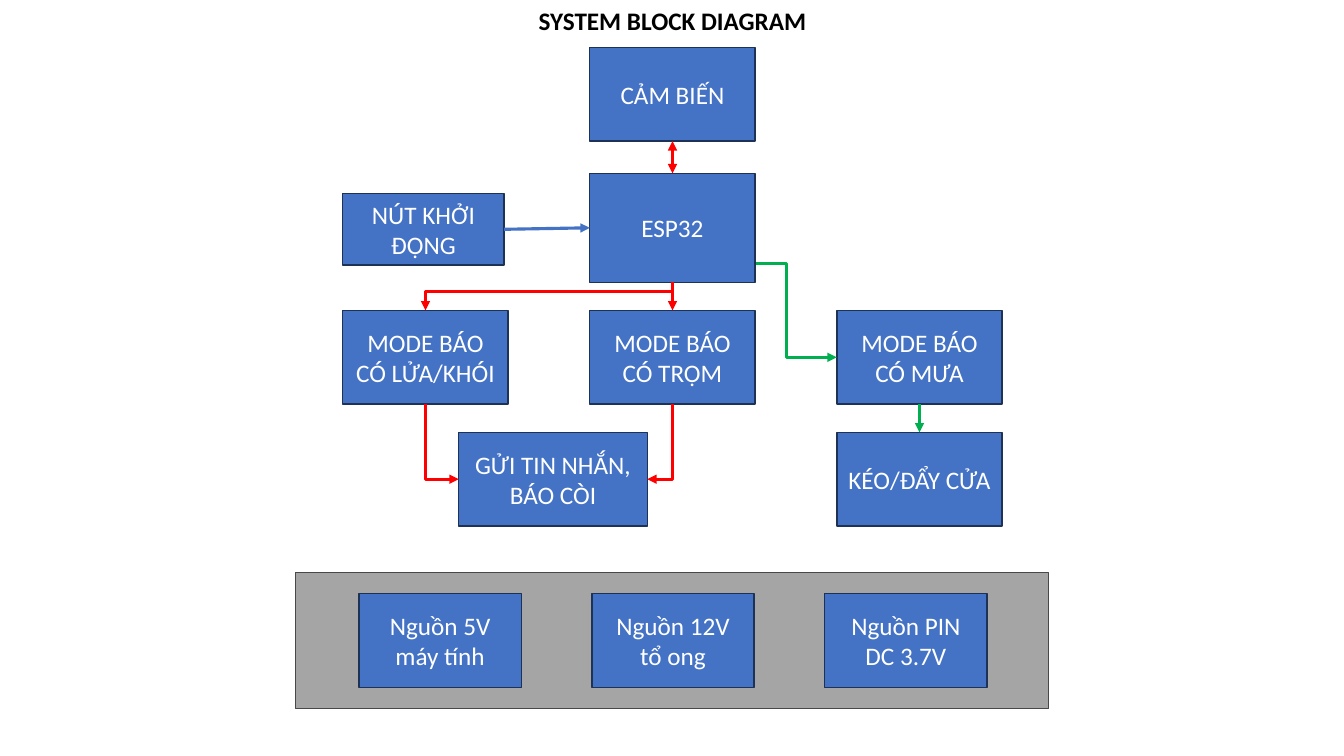
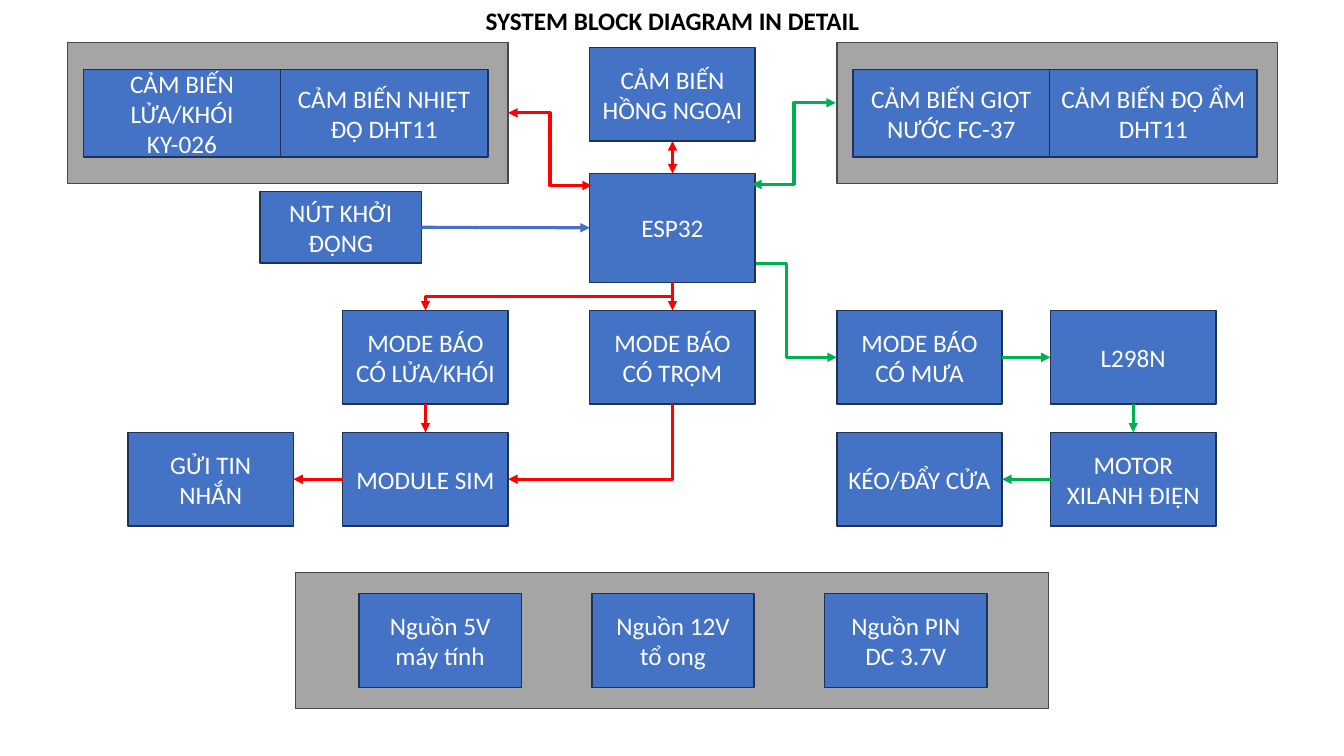
import pptx
import pptx.dml.color
import pptx.enum.shapes
import pptx.enum.text
import pptx.oxml.ns
import pptx.oxml.xmlchemy
import pptx.util
from pptx.util import Inches

COLORS = {
    "block": "4472C4", "block_line": "1E3256",
    "panel": "A5A5A5", "panel_line": "484848",
    "alarm": "FF0000", "rain": "00B050", "start": "4472C4",
    "light": "FFFFFF", "dark": "000000",
}
FONT = {"name": "Calibri", "size": pptx.util.Pt(18)}
FRAME = {"word_wrap": True,
         "vertical_anchor": pptx.enum.text.MSO_ANCHOR.MIDDLE}

# Shared grid, in inches
COLS = [1.27, 3.4, 5.85, 8.3, 10.42]
MODE_Y, ACTION_Y = 3.08, 4.29
BLOCK_W, BLOCK_H = 1.64, 0.93
CENTER_X = 6.67

# Connection sites of a rectangle
TOP, LEFT, BOTTOM, RIGHT = range(4)


def rgb(name):
    return pptx.dml.color.RGBColor.from_string(COLORS[name])


def set_all(obj, values):
    for key, value in values.items():
        setattr(obj, key, value)


def add_xml(parent, tag, **attributes):
    child = pptx.oxml.xmlchemy.OxmlElement(tag)
    for key, value in attributes.items():
        child.set(key, value)
    parent.append(child)


def write(shape, text, color, **extra):
    tf = shape.text_frame
    tf.text = text
    set_all(tf, FRAME)
    for p in tf.paragraphs:
        p.alignment = pptx.enum.text.PP_ALIGN.CENTER
        set_all(p.font, {**FONT, **extra})
        p.font.color.rgb = rgb(color)


def rect(s, x, y, w, h, style):
    sp = s.shapes.add_shape(pptx.enum.shapes.MSO_SHAPE.RECTANGLE,
                            Inches(x), Inches(y), Inches(w), Inches(h))
    sp.shadow.inherit = False
    sp.fill.solid()
    sp.fill.fore_color.rgb = rgb(style)
    sp.line.color.rgb = rgb(style + "_line")
    sp.line.width = pptx.util.Pt(1)
    return sp


def block(s, text, x, y, w=BLOCK_W, h=BLOCK_H):
    sp = rect(s, x, y, w, h, "block")
    write(sp, text, "light")
    return sp


def panel(s, x, y, w, h, blocks):
    """Grey panel grouped with its blocks; returns the panel."""
    group = s.shapes.add_group_shape()
    back = rect(group, x, y, w, h, "panel")
    for args in blocks:
        block(group, *args)
    return back


def title(s, text, w):
    tb = s.shapes.add_textbox(Inches(CENTER_X - w / 2), 0,
                              Inches(w), Inches(0.4))
    write(tb, text, "dark", bold=True)


def locate(end):
    """Turn (shape, site) or (x, y) in inches into a slide position."""
    if isinstance(end[0], (int, float)):
        return Inches(end[0]), Inches(end[1])
    sp, site = end
    mid_x, mid_y = sp.left + sp.width // 2, sp.top + sp.height // 2
    return {TOP: (mid_x, sp.top), LEFT: (sp.left, mid_y),
            BOTTOM: (mid_x, sp.top + sp.height),
            RIGHT: (sp.left + sp.width, mid_y)}[site]


def arrow(s, color, start, end, bent=False, both=False):
    kinds = pptx.enum.shapes.MSO_CONNECTOR
    cxn = s.shapes.add_connector(kinds.ELBOW if bent else kinds.STRAIGHT,
                                 *locate(start), *locate(end))
    for target, connect in ((start, cxn.begin_connect), (end, cxn.end_connect)):
        if not isinstance(target[0], (int, float)):
            connect(*target)
    cxn.line.color.rgb = rgb(color)
    cxn.line.width = pptx.util.Pt(2.25)
    sppr = cxn._element.spPr
    ln = sppr.find(pptx.oxml.ns.qn("a:ln"))
    for tag in ["a:headEnd"] * both + ["a:tailEnd"]:
        add_xml(ln, tag, type="triangle")
    add_xml(sppr, "a:effectLst")
    return cxn


def bend_down(cxn, start, end, corner=False, adj=None):
    """Make an elbow leave downwards, with one corner or a middle run."""
    (x1, y1), (x2, y2) = locate(start), locate(end)
    w, h = y2 - y1, abs(x2 - x1)
    set_all(cxn, {"left": (x1 + x2 - w) // 2, "top": (y1 + y2 - h) // 2,
                  "width": w, "height": h})
    sppr = cxn._element.spPr
    xfrm = sppr.find(pptx.oxml.ns.qn("a:xfrm"))
    for flip in ("flipH", "flipV"):
        xfrm.attrib.pop(flip, None)
    xfrm.set("rot", "5400000" if x2 < x1 else "16200000")
    if x2 > x1:
        xfrm.set("flipH", "1")
    geom = sppr.find(pptx.oxml.ns.qn("a:prstGeom"))
    if corner:
        geom.set("prst", "bentConnector2")
    if adj is not None:
        add_xml(geom.find(pptx.oxml.ns.qn("a:avLst")), "a:gd",
                name="adj1", fmla=f"val {round(adj * 100000)}")


def down_arrow(s, color, start, end, **shape):
    bend_down(arrow(s, color, start, end, bent=True), start, end, **shape)


def base_slide(prs, heading, heading_w, sensor_text, start_xy, fork):
    """Parts on both slides: title, controller, modes and power supplies."""
    s = prs.slides.add_slide(prs.slide_layouts[6])
    title(s, heading, heading_w)

    # The rain arrow runs behind the controller
    rain = block(s, "MODE BÁO CÓ MƯA", COLS[3], MODE_Y)
    arrow(s, "rain", (7.3, 2.61), (rain, LEFT), bent=True)
    esp = block(s, "ESP32", COLS[2], 1.72, h=1.08)
    sensor = block(s, sensor_text, COLS[2], 0.47)
    button = block(s, "NÚT KHỞI ĐỘNG", *start_xy, 1.6, 0.71)
    fire = block(s, "MODE BÁO CÓ LỬA/KHÓI", COLS[1], MODE_Y)
    thief = block(s, "MODE BÁO CÓ TRỘM", COLS[2], MODE_Y)
    block(s, "KÉO/ĐẨY CỬA", COLS[3], ACTION_Y)

    arrow(s, "alarm", (sensor, BOTTOM), (esp, TOP), both=True)
    arrow(s, "start", (button, RIGHT), (esp, LEFT))
    arrow(s, "alarm", (esp, BOTTOM), (thief, TOP))
    down_arrow(s, "alarm", (esp, BOTTOM), (fire, TOP), adj=fork)

    # Power supplies
    supplies = ["Nguồn 5V máy tính", "Nguồn 12V\ntổ ong", "Nguồn PIN DC 3.7V"]
    panel(s, 2.93, 5.68, 7.47, 1.35,
          [(text, 3.56 + 2.31 * i, 5.89, 1.61)
           for i, text in enumerate(supplies)])
    return s, fire, thief, rain


def overview(prs):
    s, fire, thief, rain = base_slide(
        prs, "SYSTEM BLOCK DIAGRAM", 2.99, "CẢM BIẾN", (COLS[1], 1.92), 0.32)
    notify = block(s, "GỬI TIN NHẮN, BÁO CÒI", 4.55, ACTION_Y, 1.87)
    down_arrow(s, "alarm", (fire, BOTTOM), (notify, LEFT), corner=True)
    down_arrow(s, "alarm", (thief, BOTTOM), (notify, RIGHT), corner=True)
    mid = COLS[3] + BLOCK_W / 2
    arrow(s, "rain", (rain, BOTTOM), (mid, ACTION_Y))


def detail(prs):
    s, fire, thief, rain = base_slide(
        prs, "SYSTEM BLOCK DIAGRAM IN DETAIL", 4.05, "CẢM BIẾN HỒNG NGOẠI",
        (2.58, 1.9), 0.5)

    # Sensor panels
    panels = []
    for x, first, second in (
            (0.67, "CẢM BIẾN LỬA/KHÓI KY-026", "CẢM BIẾN NHIỆT ĐỘ DHT11"),
            (8.3, "CẢM BIẾN GIỌT NƯỚC FC-37", "CẢM BIẾN ĐỘ ẨM DHT11")):
        panels.append(panel(s, x, 0.42, 4.37, 1.4,
                            [(first, x + 0.16, 0.69, 1.95, 0.87),
                             (second, x + 2.11, 0.69, 2.06, 0.87)]))
    arrow(s, "alarm", (panels[0], RIGHT), (5.87, 1.84), bent=True, both=True)
    arrow(s, "rain", (7.46, 1.83), (8.29, 1.02), bent=True, both=True)

    # Alarm messages
    sim = block(s, "MODULE SIM", COLS[1], ACTION_Y)
    message = block(s, "GỬI TIN NHẮN", COLS[0], ACTION_Y)
    arrow(s, "alarm", (fire, BOTTOM), (sim, TOP))
    arrow(s, "alarm", (sim, LEFT), (message, RIGHT))
    down_arrow(s, "alarm", (thief, BOTTOM), (sim, RIGHT), corner=True)

    # Door drive
    driver = block(s, "L298N", COLS[4], MODE_Y)
    motor = block(s, "MOTOR XILANH ĐIỆN", COLS[4], ACTION_Y)
    arrow(s, "rain", (rain, RIGHT), (driver, LEFT))
    arrow(s, "rain", (driver, BOTTOM), (motor, TOP))
    door_y = ACTION_Y + BLOCK_H / 2
    arrow(s, "rain", (motor, LEFT), (COLS[3] + BLOCK_W, door_y))


def main():
    prs = pptx.Presentation()
    prs.slide_width, prs.slide_height = Inches(13.33), Inches(7.5)
    overview(prs)
    detail(prs)
    prs.save("out.pptx")


if __name__ == "__main__":
    main()
